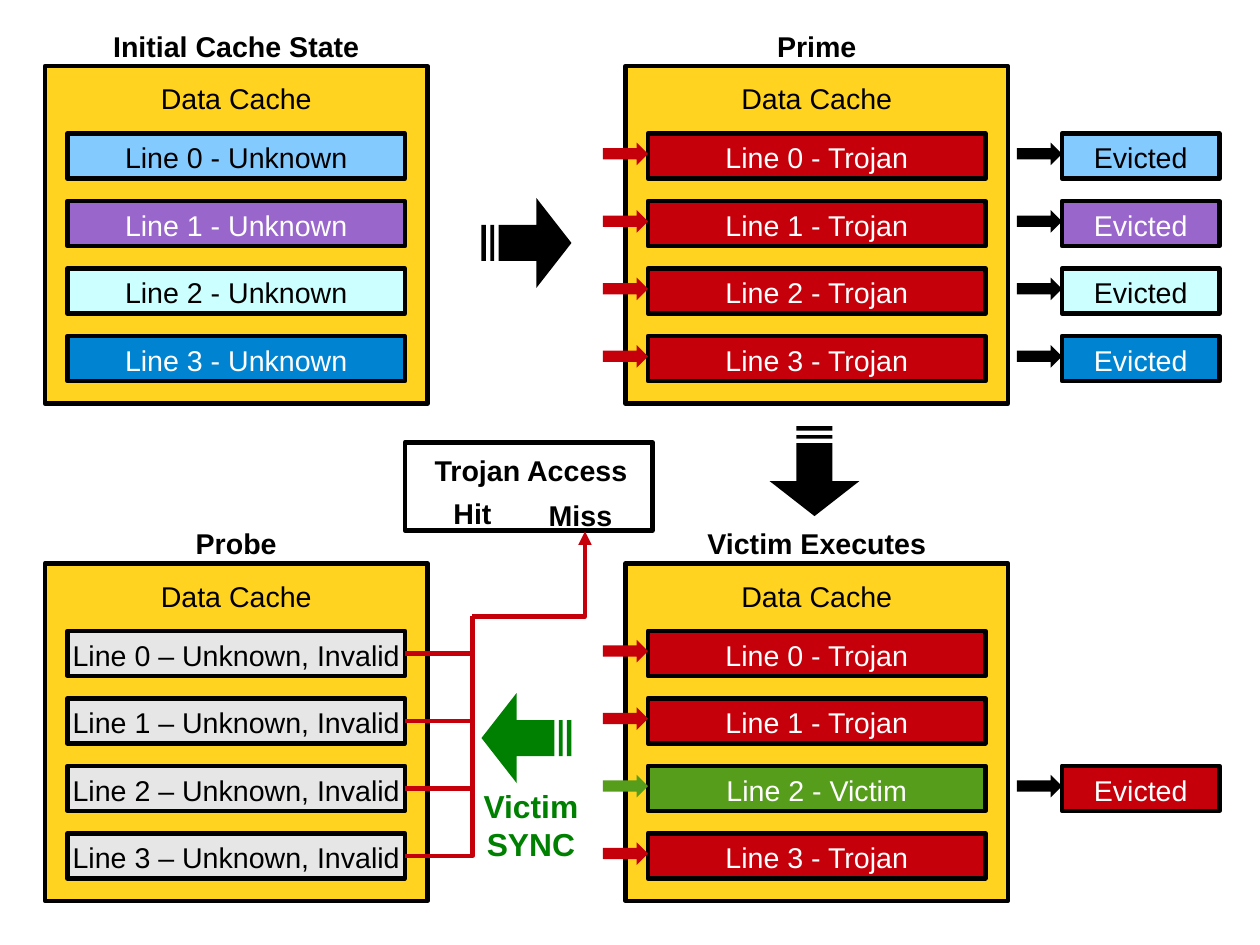
"""Build the prime-and-probe cache attack slide."""
from dataclasses import dataclass

from lxml import etree
from pptx import Presentation
from pptx import util as u
from pptx.dml.color import RGBColor
from pptx.enum import shapes, text
from pptx.oxml.ns import qn


@dataclass(frozen=True)
class Theme:
    font: str = "Arial"
    size: int = 18
    sync_size: int = 20
    border: float = 2.83
    black: str = "000000"
    white: str = "FFFFFF"
    cache: str = "FFD320"
    sky: str = "83CAFF"
    purple: str = "9966CC"
    ice: str = "CCFFFF"
    blue: str = "0084D1"
    trojan: str = "C5000B"
    victim: str = "579D1C"
    invalid: str = "E6E6E6"
    sync: str = "008000"


T = Theme()
INK = {T.sky: T.black, T.ice: T.black, T.invalid: T.black}
UNKNOWN = [T.sky, T.purple, T.ice, T.blue]
LEFT, RIGHT, TOP, BOTTOM = 1, 13.9, 1.47, 12.52
PITCH, LINE_W, LINE_H = 1.5, 7.5, 1

STAGES = [
    dict(title="Initial Cache State", at=(LEFT, TOP), state=[" - Unknown"] * 4,
         fills=UNKNOWN, loads=False, evicted={}),
    dict(title="Prime", at=(RIGHT, TOP), state=[" - Trojan"] * 4,
         fills=[T.trojan] * 4, loads=True, evicted=dict(enumerate(UNKNOWN))),
    dict(title="Victim Executes", at=(RIGHT, BOTTOM),
         state=[" - Trojan", " - Trojan", " - Victim", " - Trojan"],
         fills=[T.trojan, T.trojan, T.victim, T.trojan], loads=True, evicted={2: T.trojan}),
    dict(title="Probe", at=(LEFT, BOTTOM), state=[" – Unknown, Invalid"] * 4,
         fills=[T.invalid] * 4, loads=False, evicted={}),
]
STEPS = [(10.7, 4.4, 0, T.black), (17.1, 9.47, 90, T.black), (10.7, 15.4, 180, T.sync)]
STEP_SIZE = 2
STEP_OUTLINES = [
    [(.61, 0), (1, .5), (.61, 1), (.61, .7), (.19, .7), (.19, .3), (.61, .3)],
    [(0, .3), (0, .7), (.05, .7), (.05, .3)],
    [(.1, .3), (.1, .7), (.14, .7), (.14, .3)],
]
ACCESS_FRAME = (9, 9.83, 5.5, 1.96)
LABELS = [
    (["Trojan Access"], (9, 9.93, 5.6, .96), T.size, T.black),
    (["Hit"], (9.3, 10.9, 2.4, .96), T.size, T.black),
    (["Miss"], (11.7, 10.95, 2.4, .96), T.size, T.black),
    (["Victim", "SYNC"], (10.2, 17.35, 3.2, 1.8), T.sync_size, T.sync),
]
BUS = (10.5, 13.7)
MISS_TIP = (13, 11.81)

prs = Presentation()
prs.slide_width, prs.slide_height = u.Cm(28), u.Cm(21)
slide = prs.slides.add_slide(prs.slide_layouts[6])


def cm(values):
    return [u.Cm(value) for value in values]


def write(frame, lines, color, size=T.size, bold=False):
    frame.text = "\n".join(lines)
    for paragraph in frame.paragraphs:
        paragraph.alignment = text.PP_ALIGN.CENTER
        font = paragraph.font
        font.name, font.size, font.bold = T.font, u.Pt(size), bold
        font.color.rgb = RGBColor.from_string(color)


def paint(shape, fill=None, border=None):
    shape.shadow.inherit = False
    if fill:
        shape.fill.solid()
        shape.fill.fore_color.rgb = RGBColor.from_string(fill)
    else:
        shape.fill.background()
    if border:
        shape.line.color.rgb = RGBColor.from_string(border)
        shape.line.width = u.Pt(T.border)
    else:
        shape.line.fill.background()


def box(at, fill=None, words=None, anchor=text.MSO_ANCHOR.MIDDLE):
    shape = slide.shapes.add_shape(shapes.MSO_SHAPE.RECTANGLE, *cm(at))
    paint(shape, fill, T.black)
    if words:
        frame = shape.text_frame
        frame.word_wrap, frame.vertical_anchor = False, anchor
        frame.margin_top = u.Cm(.34 if anchor == text.MSO_ANCHOR.TOP else .18)
        write(frame, [words], INK.get(fill, T.white))


def label(lines, at, size=T.size, color=T.black):
    frame = slide.shapes.add_textbox(*cm(at)).text_frame
    frame.word_wrap = True
    write(frame, lines, color, size, bold=True)


def small_arrow(x, y, fill):
    paint(slide.shapes.add_shape(shapes.MSO_SHAPE.RIGHT_ARROW, *cm((x, y + .2, 1, .5))), fill)


def step_arrow(x, y, turn, fill):
    builder = slide.shapes.build_freeform(scale=u.Cm(STEP_SIZE) / 100)
    for outline in STEP_OUTLINES:
        first, *rest = [(px * 100, py * 100) for px, py in outline]
        builder.move_to(*first)
        builder.add_line_segments(rest, close=True)
    shape = builder.convert_to_shape(u.Cm(x), u.Cm(y))
    paint(shape, fill)
    shape.rotation = turn


def wire(start, end, arrow=False):
    link = slide.shapes.add_connector(shapes.MSO_CONNECTOR.ELBOW, *cm(start + end))
    link.line.color.rgb = RGBColor.from_string(T.trojan)
    link.line.width = u.Pt(T.border)
    properties = link._element.spPr
    properties.find(qn("a:prstGeom")).set("prst", "bentConnector2")
    if arrow:
        etree.SubElement(properties.find(qn("a:ln")), qn("a:tailEnd"), type="triangle")
    etree.SubElement(properties, qn("a:effectLst"))


def line_top(top, row):
    return top + PITCH * (row + 1)


for stage in STAGES:
    x, y = stage["at"]
    label([stage["title"]], (x, y - .96, 8.5, .96))
    INK[T.cache] = T.black
    box((x, y, 8.5, 7.5), T.cache, "Data Cache", text.MSO_ANCHOR.TOP)
    for row, (state, fill) in enumerate(zip(stage["state"], stage["fills"])):
        line_y = line_top(y, row)
        box((x + .5, line_y, LINE_W, LINE_H), fill, f"Line {row}{state}")
        if stage["loads"]:
            small_arrow(x - .5, line_y, fill)
        if row in stage["evicted"]:
            small_arrow(x + 8.7, line_y, T.black)
            box((x + 9.7, line_y, 3.5, LINE_H), stage["evicted"][row], "Evicted")

for step in STEPS:
    step_arrow(*step)
box(ACCESS_FRAME)
for entry in LABELS:
    label(*entry)
for row in range(4):
    wire((LEFT + .5 + LINE_W, line_top(BOTTOM, row) + LINE_H / 2), BUS)
wire(BUS, MISS_TIP, arrow=True)

prs.save("out.pptx")
